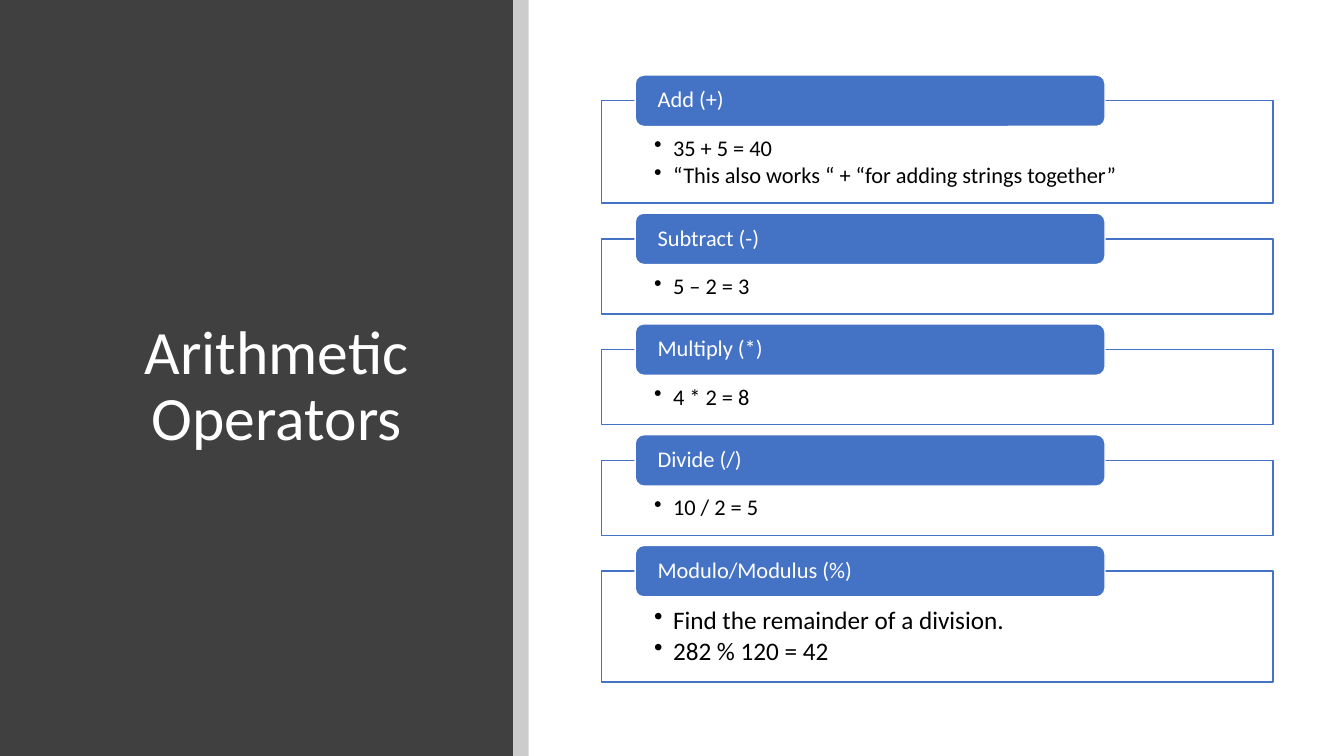
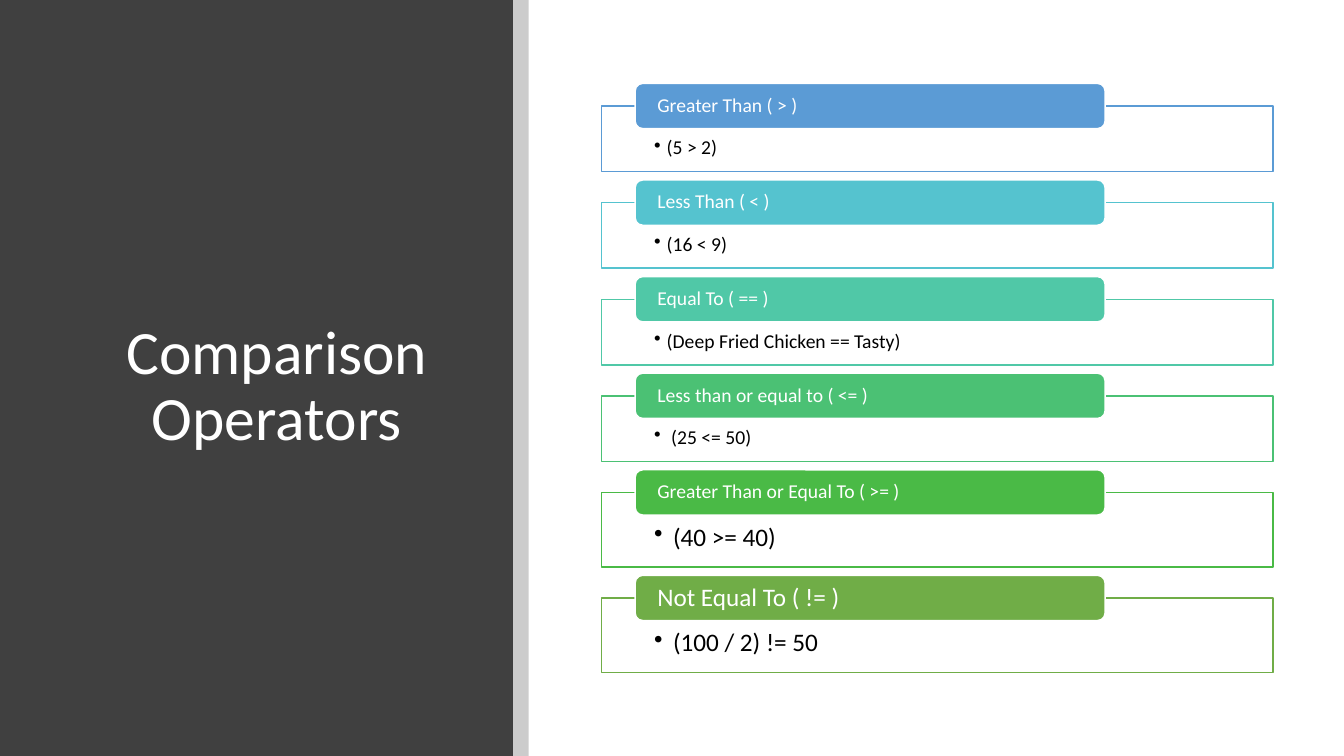
from dataclasses import dataclass
from typing import Any, NamedTuple

from lxml.etree import SubElement
from pptx import Presentation
from pptx.dml.color import RGBColor
from pptx.enum.shapes import MSO_SHAPE as Preset
from pptx.enum.text import MSO_ANCHOR as Anchor, PP_ALIGN as Align
from pptx.oxml.ns import qn
from pptx.util import Emu, Pt

EMU_PER_PX = 914400 / 192
SLIDE_WIDTH, SLIDE_HEIGHT = 2560, 1440
PANEL_WIDTH, STRIPE_WIDTH = 977, 30
BOX_LEFT, BOX_WIDTH, BOX_INSET = 1146, 1279, 100
BAR_LEFT, BAR_WIDTH, BAR_INSET = 1210, 895, 38

FONT = "Calibri"
WHITE = RGBColor(0xFF, 0xFF, 0xFF)
BLACK = RGBColor(0x00, 0x00, 0x00)
CHARCOAL = RGBColor(0x40, 0x40, 0x40)
BLUE = RGBColor(0x44, 0x72, 0xC4)
SKY = RGBColor(0x5B, 0x9B, 0xD5)
AQUA = RGBColor(0x55, 0xC3, 0xCF)
TEAL = RGBColor(0x50, 0xC8, 0xA7)
MINT = RGBColor(0x4B, 0xC1, 0x74)
GREEN = RGBColor(0x4A, 0xBA, 0x46)
OLIVE = RGBColor(0x70, 0xAD, 0x47)


class Area(NamedTuple):
    left: int
    top: int
    width: int
    height: int


@dataclass(frozen=True)
class Operator:
    heading: str
    examples: tuple[str, ...]
    height: int
    color: RGBColor
    example_size: int
    heading_size: int


@dataclass(frozen=True)
class OperatorSlide:
    title: str
    first_top: int
    gap: int
    bar_height: int
    text_top: int
    operators: tuple[Operator, ...]


TITLE_AREA = Area(177, 171, 701, 1135)

SLIDES = (
    OperatorSlide("Arithmetic Operators", 192, 68, 98, 69, (
        Operator("Add (+)", ("35 + 5 = 40", "“This also works “ + “for adding strings together”"),
                 195, BLUE, 16, 16),
        Operator("Subtract (-)", ("5 – 2 = 3",), 143, BLUE, 16, 16),
        Operator("Multiply (*)", ("4 * 2 = 8",), 143, BLUE, 16, 16),
        Operator("Divide (/)", ("10 / 2 = 5",), 143, BLUE, 16, 16),
        Operator("Modulo/Modulus (%)", ("Find the remainder of a division.", "282 % 120 = 42"),
                 211, BLUE, 18, 16),
    )),
    OperatorSlide("Comparison Operators", 202, 59, 86, 61, (
        Operator("Greater Than ( > )", ("(5 > 2)",), 125, SKY, 14, 14),
        Operator("Less Than ( < )", ("(16 < 9)",), 125, AQUA, 14, 14),
        Operator("Equal To ( == )", ("(Deep Fried Chicken == Tasty)",), 125, TEAL, 14, 14),
        Operator("Less than or equal to ( <= )", (" (25 <= 50)",), 125, MINT, 14, 14),
        Operator("Greater Than or Equal To ( >= )", ("(40 >= 40)",), 142, GREEN, 18, 14),
        Operator("Not Equal To ( != )", ("(100 / 2) != 50",), 142, OLIVE, 18, 18),
    )),
)


def px(length: int) -> Emu:
    return Emu(round(length * EMU_PER_PX))


def apply_format(target: Any, values: dict[str, Any]) -> None:
    for name, value in values.items():
        setattr(target, name, value)


def add_block(slide: Any, preset: Preset, area: Area, fill: RGBColor,
              line: RGBColor | None = None, opacity: int = 100) -> Any:
    shape = slide.shapes.add_shape(preset, *map(px, area))
    shape.shadow.inherit = False
    shape.fill.solid()
    shape.fill.fore_color.rgb = fill
    if opacity < 100:
        color = shape.fill._xPr.find(qn("a:solidFill"))[0]
        SubElement(color, qn("a:alpha"), val=str(opacity * 1000))
    if line is None:
        shape.line.fill.background()
    else:
        shape.line.color.rgb = line
        shape.line.width = Pt(1)
    return shape


def write_text(shape: Any, lines: tuple[str, ...], size: int, color: RGBColor,
               frame_format: dict[str, Any], align: Align = Align.LEFT,
               space_after: float = 0, bullet_indent: int = 0) -> None:
    frame = shape.text_frame
    apply_format(frame, {"word_wrap": True, **frame_format})
    for index, line in enumerate(lines):
        paragraph = frame.add_paragraph() if index else frame.paragraphs[0]
        if bullet_indent:
            properties = paragraph._p.get_or_add_pPr()
            properties.set("marL", str(px(bullet_indent)))
            properties.set("indent", str(-px(bullet_indent)))
            SubElement(properties, qn("a:buChar"), char="•")
            paragraph.level = 1
        apply_format(paragraph, {"alignment": align, "line_spacing": 0.9,
                                 "space_after": Pt(space_after)})
        run = paragraph.add_run()
        run.text = line
        apply_format(run.font, {"name": FONT, "size": Pt(size)})
        run.font.color.rgb = color


def add_operator(slide: Any, content: OperatorSlide, operator: Operator, top: int) -> None:
    box = add_block(slide, Preset.RECTANGLE, Area(BOX_LEFT, top, BOX_WIDTH, operator.height),
                    WHITE, operator.color, 90)
    write_text(box, operator.examples, operator.example_size, BLACK,
               {"vertical_anchor": Anchor.TOP, "margin_left": px(BOX_INSET),
                "margin_right": px(BOX_INSET), "margin_top": px(content.text_top),
                "margin_bottom": 0},
               space_after=operator.example_size * 0.15,
               bullet_indent=24 if operator.example_size == 14 else 36)
    bar = add_block(slide, Preset.ROUNDED_RECTANGLE,
                    Area(BAR_LEFT, top - content.bar_height // 2, BAR_WIDTH, content.bar_height),
                    operator.color, WHITE)
    write_text(bar, (operator.heading,), operator.heading_size, WHITE,
               {"vertical_anchor": Anchor.MIDDLE, "margin_left": px(BAR_INSET),
                "margin_right": px(BAR_INSET), "margin_top": 0, "margin_bottom": 0})


def add_operator_slide(presentation: Any, content: OperatorSlide) -> None:
    slide = presentation.slides.add_slide(presentation.slide_layouts[6])
    add_block(slide, Preset.RECTANGLE, Area(0, 0, PANEL_WIDTH, SLIDE_HEIGHT), CHARCOAL)
    title = slide.shapes.add_textbox(*map(px, TITLE_AREA))
    write_text(title, (content.title,), 44, WHITE,
               {"vertical_anchor": Anchor.MIDDLE}, Align.CENTER)
    add_block(slide, Preset.RECTANGLE, Area(PANEL_WIDTH, 0, STRIPE_WIDTH, SLIDE_HEIGHT),
              BLACK, opacity=20)
    top = content.first_top
    for operator in content.operators:
        add_operator(slide, content, operator, top)
        top += operator.height + content.gap


def main() -> None:
    presentation = Presentation()
    apply_format(presentation, {"slide_width": px(SLIDE_WIDTH), "slide_height": px(SLIDE_HEIGHT)})
    for content in SLIDES:
        add_operator_slide(presentation, content)
    presentation.save("out.pptx")


if __name__ == "__main__":
    main()
